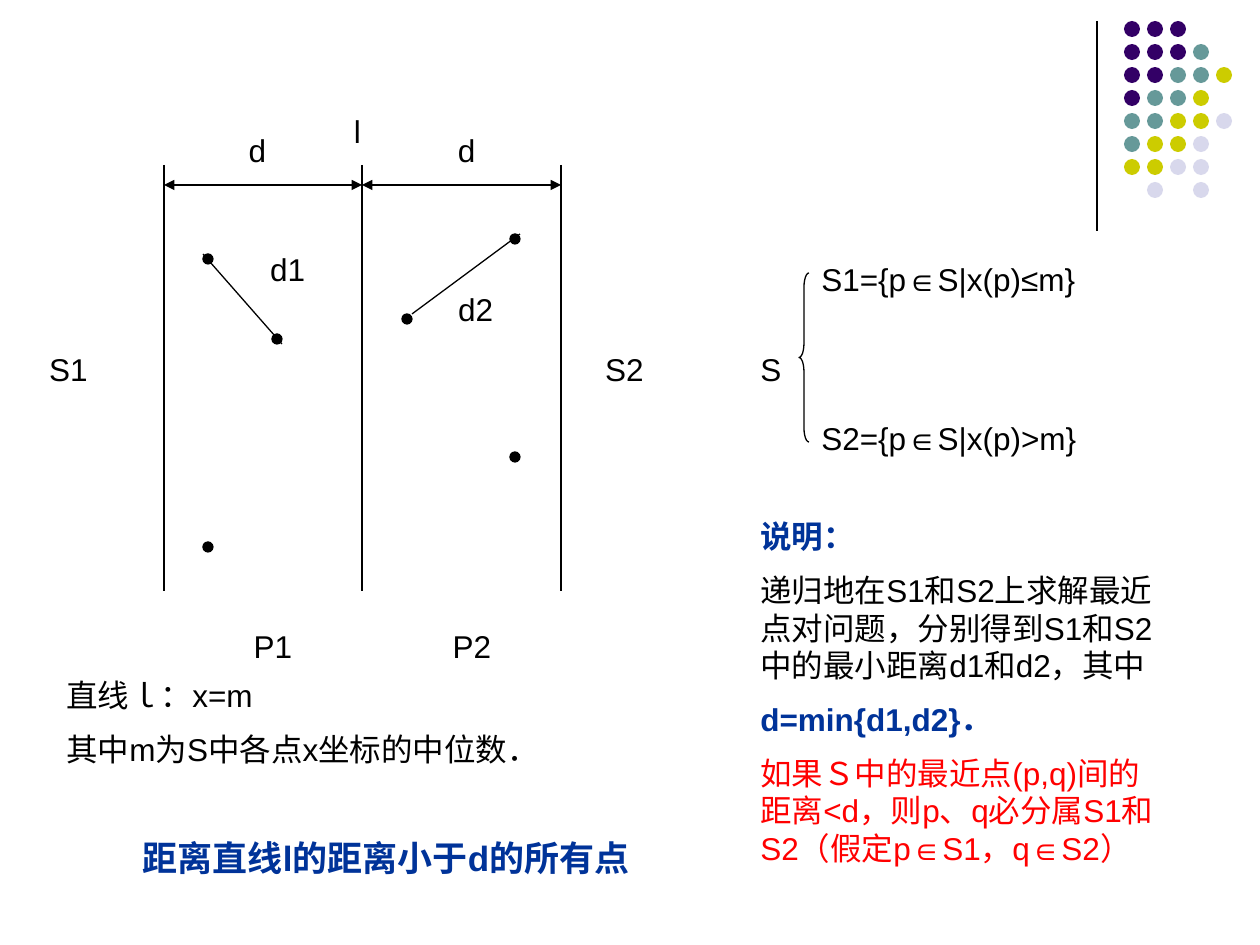
import pptx
import pptx.dml.color
import pptx.enum.shapes
import pptx.enum.text
import pptx.oxml.ns
import pptx.util
from lxml import etree

RGBColor = pptx.dml.color.RGBColor
MSO_SHAPE = pptx.enum.shapes.MSO_SHAPE
PP_ALIGN = pptx.enum.text.PP_ALIGN
qn = pptx.oxml.ns.qn

BLACK = RGBColor(0x00, 0x00, 0x00)
BLUE = RGBColor(0x00, 0x33, 0x99)
RED = RGBColor(0xFF, 0x00, 0x00)
PURPLE = RGBColor(0x33, 0x00, 0x66)
TEAL = RGBColor(0x66, 0x99, 0x99)
OLIVE = RGBColor(0xCC, 0xCC, 0x00)
LAVENDER = RGBColor(0xD8, 0xD8, 0xEC)

LINE_WIDTH = pptx.util.Pt(0.75)
DOT_COLORS = {"P": PURPLE, "T": TEAL, "Y": OLIVE, "L": LAVENDER}
DOT_ROWS = ["PPP", "PPPT", "PPTTY", "PTTY", "TTYYL", "TYYL", "YYLL", ".L.L"]
STRIP_X = [164, 362, 561]
STRIP_TOP, STRIP_BOTTOM, ARROW_Y = 165, 591, 185
POINTS = [(203, 254), (272, 334), (203, 542), (402, 314), (510, 234), (510, 452)]
PAIR_LINES = [(203, 254, 282, 344), (412, 314, 520, 234)]
LABELS = [
    ("P1", 223, 621, 100), ("P2", 422, 621, 100),
    ("d2", 441, 284, 69), ("d1", 253, 244, 69),
    ("l", 323, 106, 69), ("d", 432, 125, 69), ("d", 223, 125, 69),
    ("S1", 34, 344, 69), ("S2", 590, 344, 69),
]
SETS = [("S", 748, 344, 49), ("S1={p∈S|x(p)≤m}", 809, 254, 318),
        ("S2={p∈S|x(p)>m}", 809, 413, 318)]
EXPLANATION = [
    ("说明：", BLUE, True),
    ("递归地在S1和S2上求解最近点对问题，分别得到S1和S2中的最小距离d1和d2，其中", BLACK, False),
    ("d=min{d1,d2}．", BLUE, True),
    ("如果Ｓ中的最近点(p,q)间的距离<d，则p、q必分属S1和S2（假定p∈S1，q∈S2）", RED, False),
]


def px(n):
    return pptx.util.Emu(round(n * 914400 / 126))


def add_text(p, text, size=18, color=BLACK, bold=False, align=PP_ALIGN.LEFT):
    p.alignment = align
    r = p.add_run()
    r.text = text
    r.font.name = "Arial"
    r.font.size = pptx.util.Pt(size)
    r.font.bold = bold
    r.font.color.rgb = color


def add_box(s, x, y, w, h, paragraphs, **fmt):
    sp = s.shapes.add_textbox(px(x), px(y), px(w), px(h))
    tf = sp.text_frame
    tf.word_wrap = True
    tf.auto_size = pptx.enum.text.MSO_AUTO_SIZE.SHAPE_TO_FIT_TEXT
    for i, (text, color, bold) in enumerate(paragraphs):
        p = tf.add_paragraph() if i else tf.paragraphs[0]
        if i:
            p.space_before = pptx.util.Pt(9)
        add_text(p, text, color=color, bold=bold, **fmt)


def add_line(s, x1, y1, x2, y2, arrows=False):
    c = s.shapes.add_connector(pptx.enum.shapes.MSO_CONNECTOR.STRAIGHT,
                               px(x1), px(y1), px(x2), px(y2))
    c.line.color.rgb = BLACK
    c.line.width = LINE_WIDTH
    if arrows:
        ln = c.line._get_or_add_ln()
        for tag in ("a:headEnd", "a:tailEnd"):
            etree.SubElement(ln, qn(tag), type="triangle")
    etree.SubElement(c._element.spPr, qn("a:effectLst"))


def add_preset(s, kind, x, y, w, h, fill=None, line=None):
    sp = s.shapes.add_shape(kind, px(x), px(y), px(w), px(h))
    sp.shadow.inherit = False
    if fill is None:
        sp.fill.background()
    else:
        sp.fill.solid()
        sp.fill.fore_color.rgb = fill
    if line is None:
        sp.line.fill.background()
    else:
        sp.line.color.rgb = line
        sp.line.width = LINE_WIDTH
    return sp


def add_dot_grid(s):
    add_line(s, 1097, 21, 1097, 231)
    for row, codes in enumerate(DOT_ROWS):
        for col, code in enumerate(codes):
            if code in DOT_COLORS:
                add_preset(s, MSO_SHAPE.OVAL, 1124 + 23 * col, 21 + 23 * row, 16, 16,
                           fill=DOT_COLORS[code])


def add_diagram(s):
    for x in STRIP_X:
        add_line(s, x, STRIP_TOP, x, STRIP_BOTTOM)
    for left, right in zip(STRIP_X, STRIP_X[1:]):
        add_line(s, left, ARROW_Y, right, ARROW_Y, arrows=True)
    for x, y in POINTS:
        add_preset(s, MSO_SHAPE.OVAL, x, y, 10, 10, fill=BLACK, line=BLACK)
    for ends in PAIR_LINES:
        add_line(s, *ends)
    for text, x, y, w in LABELS:
        add_box(s, x, y, w, 50, [(text, BLACK, False)], align=PP_ALIGN.CENTER)


def add_sets(s):
    for text, x, y, w in SETS:
        add_box(s, x, y, w, 50, [(text, BLACK, False)])
    brace = add_preset(s, MSO_SHAPE.LEFT_BRACE, 799, 273, 10, 169, line=BLACK)
    brace.adjustments[0] = 1.4


def main():
    prs = pptx.Presentation()
    prs.slide_width, prs.slide_height = px(1260), px(945)
    s = prs.slides.add_slide(prs.slide_layouts[6])
    add_dot_grid(s)
    add_diagram(s)
    add_box(s, 113, 830, 546, 54, [("距离直线l的距离小于d的所有点", BLUE, True)],
            size=20, align=PP_ALIGN.CENTER)
    add_box(s, 54, 670, 556, 107, [("直线ｌ：x=m", BLACK, False),
                                   ("其中m为S中各点x坐标的中位数．", BLACK, False)])
    add_sets(s)
    add_box(s, 748, 511, 427, 373, EXPLANATION)
    prs.save("out.pptx")


if __name__ == "__main__":
    main()
